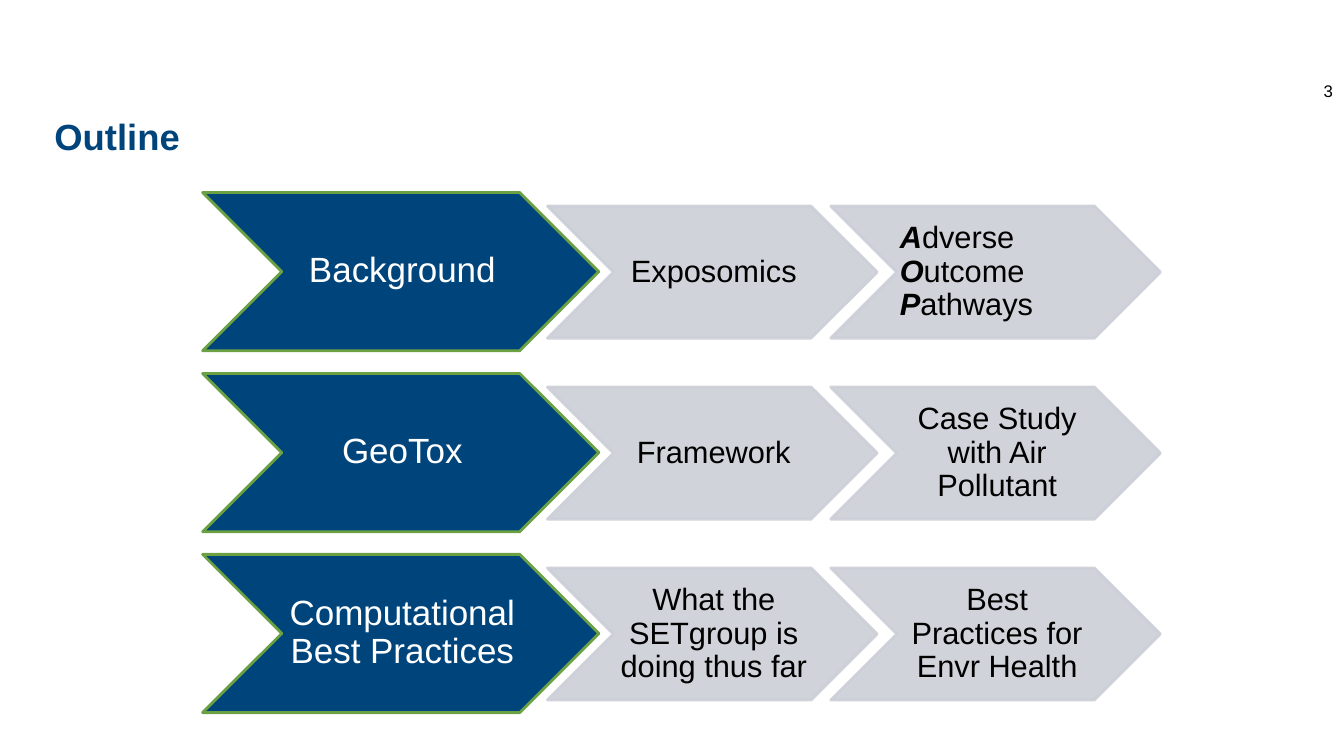
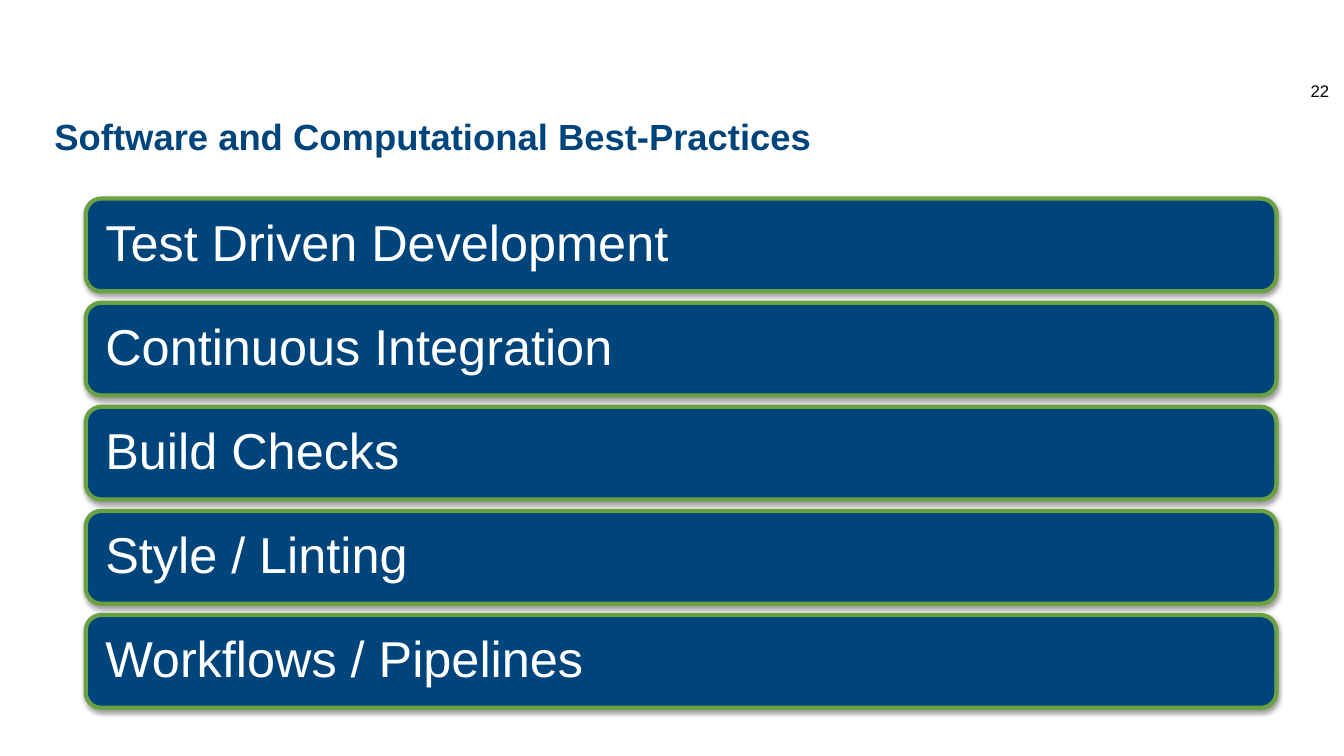
import pptx
import pptx.util
import pptx.dml.color
import pptx.enum.shapes
import pptx.enum.text
import pptx.oxml
import pptx.oxml.ns

Inches = pptx.util.Inches
Pt = pptx.util.Pt
SHAPES = pptx.enum.shapes.MSO_SHAPE
ALIGN = pptx.enum.text.PP_ALIGN
ANCHOR = pptx.enum.text.MSO_ANCHOR

FONT = "Arial"
SLIDE_WIDTH = 13.33
COLORS = {"navy": "00447C", "green": "6BA143", "gray": "CCCFD7",
          "black": "000000", "white": "FFFFFF"}

TOPICS = [
    ("Background", ["Exposomics", "Adverse Outcome Pathways"]),
    ("GeoTox", ["Framework", "Case Study with Air Pollutant"]),
    ("Computational Best Practices",
     ["What the SETgroup is doing thus far", "Best Practices for Envr Health"]),
]
ACRONYM = "Adverse Outcome Pathways"
PRACTICES = ["Test Driven Development", "Continuous Integration", "Build Checks",
             "Style / Linting", "Workflows / Pipelines"]


def rgb(name):
    """Return a palette colour."""
    return pptx.dml.color.RGBColor.from_string(COLORS[name])


def style_font(font, size, color, bold=False, italic=False):
    """Apply the deck font."""
    font.name, font.size = FONT, Pt(size)
    font.bold, font.italic = bold, italic
    font.color.rgb = rgb(color)


def add_element(parent, tag, **attributes):
    """Append a drawing element and return it."""
    element = pptx.oxml.parse_xml(f"<a:{tag} {pptx.oxml.ns.nsdecls('a')}/>")
    for key, value in attributes.items():
        element.set(key, str(value))
    parent.append(element)
    return element


def add_slide(prs, title, number, number_left):
    """Add a slide with its title and page number."""
    slide = prs.slides.add_slide(prs.slide_layouts[5])
    heading = slide.shapes.title
    heading.left, heading.top = Inches(0.44), Inches(1.08)
    heading.width, heading.height = Inches(12.46), Inches(0.8)
    frame = heading.text_frame
    frame.text = title
    frame.vertical_anchor = ANCHOR.TOP
    frame.paragraphs[0].alignment = ALIGN.LEFT
    style_font(frame.paragraphs[0].runs[0].font, 26, "navy", bold=True)

    page = slide.shapes.add_textbox(Inches(number_left), Inches(0.75),
                                    Inches(SLIDE_WIDTH - number_left), Inches(0.3))
    page.text_frame.word_wrap = True
    page.text_frame.text = str(number)
    style_font(page.text_frame.paragraphs[0].runs[0].font, 12, "black")
    return slide


def add_block(slide, preset, box, fill, outline, weight):
    """Add a filled, outlined shape without a shadow."""
    block = slide.shapes.add_shape(preset, *map(Inches, box))
    block.shadow.inherit = False
    block.fill.solid()
    block.fill.fore_color.rgb = rgb(fill)
    block.line.color.rgb = rgb(outline)
    block.line.width = Pt(weight)
    return block


def add_label(block, text, size, color, align, insets):
    """Write a centred-height label in a block."""
    frame = block.text_frame
    frame.word_wrap = True
    frame.vertical_anchor = ANCHOR.MIDDLE
    (frame.margin_left, frame.margin_top,
     frame.margin_right, frame.margin_bottom) = map(Inches, insets)
    paragraph = frame.paragraphs[0]
    paragraph.text = text
    paragraph.alignment = align
    paragraph.line_spacing = 0.9
    style_font(paragraph.runs[0].font, size, color)
    return paragraph


def emphasize_initials(paragraph, size, color):
    """Set the first letter of each word in bold italics."""
    words = paragraph.text.split()
    paragraph.clear()
    for index, word in enumerate(words):
        rest = word[1:] + (" " if index < len(words) - 1 else "")
        for text, strong in ((word[0], True), (rest, False)):
            run = paragraph.add_run()
            run.text = text
            style_font(run.font, size, color, strong, strong)


def add_chevron(slide, box, text, size, fill, outline, color):
    """Add a labelled chevron."""
    chevron = add_block(slide, SHAPES.CHEVRON, box, fill, outline, 2)
    align = ALIGN.LEFT if text == ACRONYM else ALIGN.CENTER
    paragraph = add_label(chevron, text, size, color, align, (0.03, 0.02, 0, 0.02))
    if text == ACRONYM:
        emphasize_initials(paragraph, size, color)
    return chevron


def add_topic_row(slide, top, topic, details):
    """Add a topic chevron followed by its detail chevrons."""
    add_chevron(slide, (2.01, top, 3.93, 1.57), topic, 25, "navy", "green", "white")
    for column, detail in enumerate(details):
        box = (5.43 + 2.81 * column, top + 0.135, 3.27, 1.31)
        chevron = add_chevron(slide, box, detail, 22, "gray", "gray", "black")
        properties = chevron._element.spPr
        for color in properties.iter(pptx.oxml.ns.qn("a:srgbClr")):
            add_element(color, "alpha", val=90000)


def add_practice(slide, top, text):
    """Add a practice bar with a soft shadow."""
    bar = add_block(slide, SHAPES.ROUNDED_RECTANGLE, (0.85, top, 11.81, 0.92),
                    "navy", "green", 3)
    add_label(bar, text, 36, "white", ALIGN.LEFT, (0.15,) * 4)
    effects = bar._element.spPr.find(pptx.oxml.ns.qn("a:effectLst"))
    shadow = add_element(effects, "outerShdw", blurRad=Pt(3.1), dist=Pt(1.6),
                         dir=5400000, rotWithShape=0)
    color = add_element(shadow, "srgbClr", val=COLORS["black"])
    add_element(color, "alpha", val=38000)


def main():
    """Build the deck."""
    prs = pptx.Presentation()
    prs.slide_width, prs.slide_height = Inches(SLIDE_WIDTH), Inches(7.5)

    outline = add_slide(prs, "Outline", 3, 13.03)
    for row, (topic, details) in enumerate(TOPICS):
        add_topic_row(outline, 1.91 + 1.795 * row, topic, details)

    practices = add_slide(prs, "Software and Computational Best-Practices", 22, 12.9)
    for row, practice in enumerate(PRACTICES):
        add_practice(practices, 1.97 + 1.033 * row, practice)

    prs.save("out.pptx")


if __name__ == "__main__":
    main()
